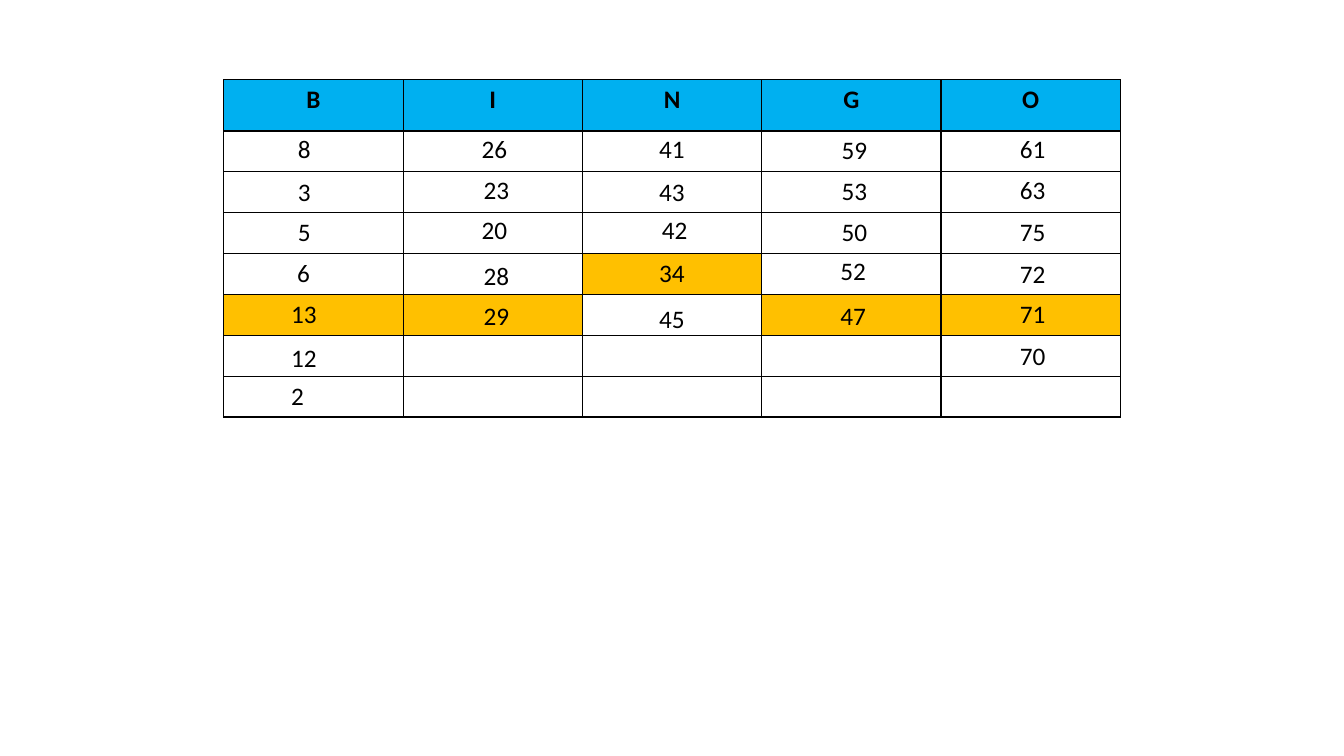
from typing import Any, NamedTuple

from lxml.etree import SubElement
from pptx import Presentation
from pptx.dml.color import RGBColor
from pptx.enum.text import MSO_AUTO_SIZE as AutoSize, PP_ALIGN as Align
from pptx.oxml.ns import qn
from pptx.util import Cm, Pt

COLORS = {"text": "000000", "border": "000000", "header": "00B0F0",
          "marked": "FFC000", "plain": "FFFFFF"}
FONT = {"name": "Calibri", "size": Pt(18)}
HEADER_FONT = FONT | {"bold": True}
COLUMN_WIDTH, HEADER_HEIGHT, ROW_HEIGHT = Cm(4.52), Cm(1.29), Cm(1.03)
ROW_COUNT = 8
TABLE_LEFT, TABLE_TOP = Cm(5.64), Cm(2.01)


class Number(NamedTuple):
    """A called number and the place of its box, in centimetres."""
    value: int
    left: float
    top: float


# Each letter with its numbers and the table row that is marked
NUMBERS = {
    "B": [Number(8, 7.26, 3.23), Number(3, 7.26, 4.32), Number(5, 7.26, 5.33),
          Number(6, 7.24, 6.35), Number(13, 7.09, 7.39), Number(12, 7.09, 8.51),
          Number(2, 7.09, 9.45)],
    "I": [Number(26, 11.89, 3.23), Number(23, 11.94, 4.27), Number(20, 11.89, 5.28),
          Number(28, 11.94, 6.43), Number(29, 11.94, 7.44)],
    "N": [Number(41, 16.36, 3.23), Number(43, 16.36, 4.32), Number(42, 16.43, 5.28),
          Number(34, 16.36, 6.35), Number(45, 16.36, 7.52)],
    "G": [Number(59, 20.96, 3.25), Number(53, 20.96, 4.29), Number(50, 20.96, 5.33),
          Number(52, 20.93, 6.32), Number(47, 20.93, 7.44)],
    "O": [Number(61, 25.45, 3.23), Number(63, 25.45, 4.27), Number(75, 25.45, 5.33),
          Number(72, 25.45, 6.38), Number(71, 25.45, 7.39), Number(70, 25.45, 8.46)],
}
MARKED_ROWS = {"B": 5, "I": 5, "N": 4, "G": 5, "O": 5}


def write(paragraph: Any, text: str, font: dict[str, Any]) -> None:
    run = paragraph.add_run()
    run.text = text
    for attribute, value in font.items():
        setattr(run.font, attribute, value)
    run.font.color.rgb = RGBColor.from_string(COLORS["text"])


def format_cell(cell: Any, fill: str) -> None:
    properties = cell._tc.get_or_add_tcPr()
    for side in ("lnL", "lnR", "lnT", "lnB"):
        line = SubElement(properties, qn(f"a:{side}"), w=str(Pt(1)))
        solid = SubElement(line, qn("a:solidFill"))
        SubElement(solid, qn("a:srgbClr"), val=COLORS["border"])
    cell.fill.solid()
    cell.fill.fore_color.rgb = RGBColor.from_string(COLORS[fill])


def add_card(slide: Any) -> None:
    table = slide.shapes.add_table(
        ROW_COUNT, len(NUMBERS), TABLE_LEFT, TABLE_TOP, COLUMN_WIDTH * len(NUMBERS),
        HEADER_HEIGHT + ROW_HEIGHT * (ROW_COUNT - 1)).table
    table.first_row = table.horz_banding = False
    for index, row in enumerate(table.rows):
        row.height = ROW_HEIGHT if index else HEADER_HEIGHT
    for column, letter in enumerate(NUMBERS):
        table.columns[column].width = COLUMN_WIDTH
        fills = {0: "header", MARKED_ROWS[letter]: "marked"}
        for row in range(ROW_COUNT):
            format_cell(table.cell(row, column), fills.get(row, "plain"))
        heading = table.cell(0, column).text_frame.paragraphs[0]
        heading.alignment = Align.CENTER
        write(heading, letter, HEADER_FONT)


def add_number(slide: Any, number: Number) -> None:
    width = Cm(0.84 if number.value < 10 else 1.17)
    box = slide.shapes.add_textbox(Cm(number.left), Cm(number.top), width, Cm(1.02))
    frame = box.text_frame
    frame.word_wrap = False
    frame.auto_size = AutoSize.SHAPE_TO_FIT_TEXT
    write(frame.paragraphs[0], str(number.value), FONT)


presentation = Presentation()
presentation.slide_width, presentation.slide_height = Cm(33.87), Cm(19.05)
slide = presentation.slides.add_slide(presentation.slide_layouts[6])

# Card grid, then the numbers laid over it
add_card(slide)
for numbers in NUMBERS.values():
    for number in numbers:
        add_number(slide, number)

presentation.save("out.pptx")
